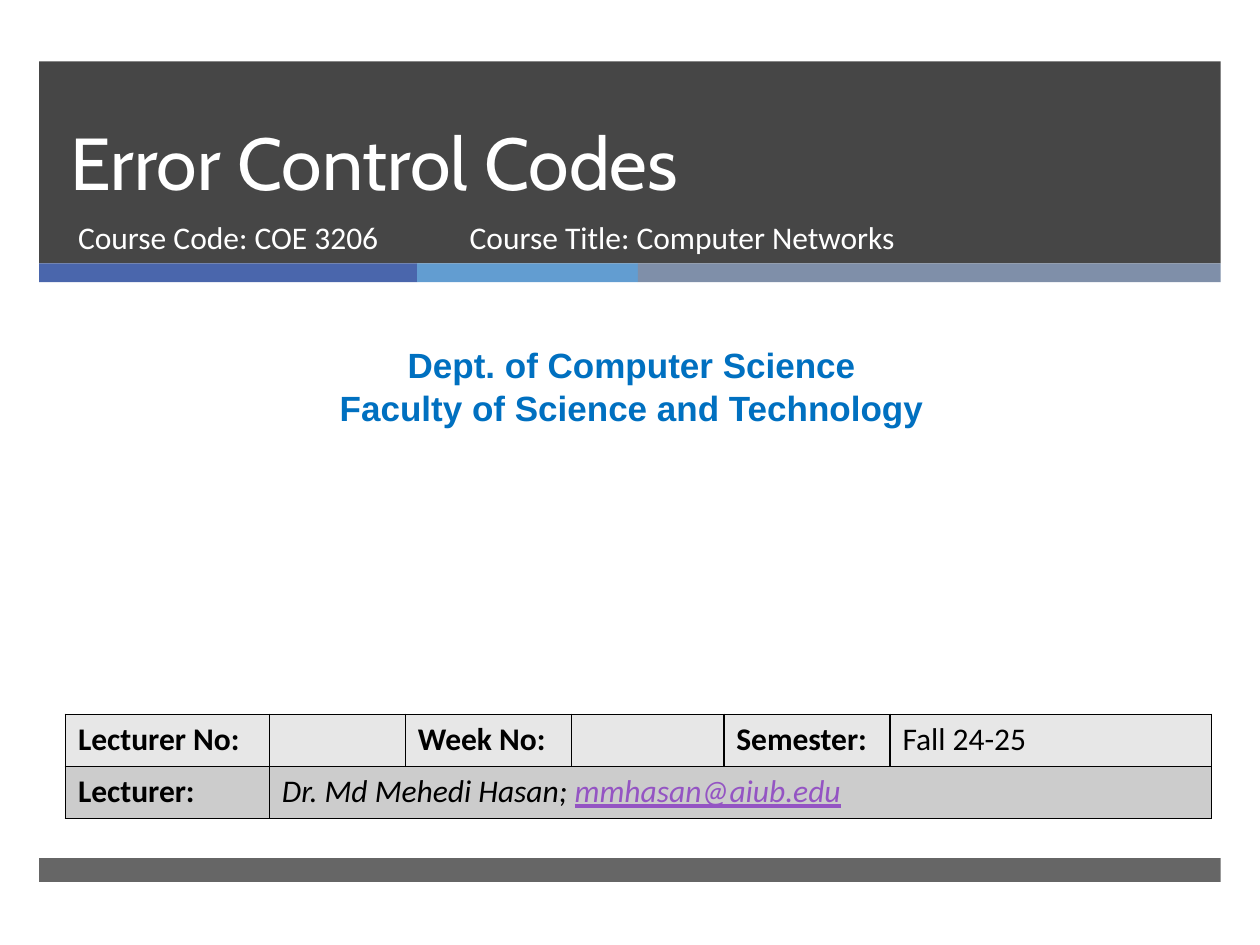
from lxml.etree import SubElement
from pptx import Presentation
from pptx.dml.color import RGBColor
from pptx.enum.shapes import MSO_SHAPE
from pptx.enum.text import MSO_ANCHOR, MSO_AUTO_SIZE, PP_ALIGN
from pptx.oxml.ns import qn
from pptx.util import Cm, Pt

WHITE = RGBColor(0xFF, 0xFF, 0xFF)
BLACK = RGBColor(0, 0, 0)
DARK = RGBColor(0x26, 0x26, 0x26)
NAVY = RGBColor(0x4A, 0x66, 0xAC)
SKY = RGBColor(0x62, 0x9D, 0xD1)
SLATE = RGBColor(0x7F, 0x8F, 0xA9)
BLUE = RGBColor(0x00, 0x70, 0xC0)
VIOLET = RGBColor(0x94, 0x54, 0xC3)
PALE = RGBColor(0xE7, 0xE7, 0xE7)
GREY = RGBColor(0xCC, 0xCC, 0xCC)


def write(para, text, size=18, face="Calibri", color=WHITE, align=PP_ALIGN.LEFT,
          bold=False, italic=False, under=False):
    para.alignment = align
    run = para.add_run()
    run.text = text
    font = run.font
    font.size, font.name, font.color.rgb = Pt(size), face, color
    font.bold, font.italic, font.underline = bold, italic, under


def frame(cell):
    """Draw a thin black border on all four sides of a table cell."""
    props = cell._tc.get_or_add_tcPr()
    for side in ("a:lnL", "a:lnR", "a:lnT", "a:lnB"):
        line = SubElement(props, qn(side), w=str(Pt(1)))
        fill = SubElement(line, qn("a:solidFill"))
        SubElement(fill, qn("a:srgbClr"), val=str(BLACK))


deck = Presentation()
deck.slide_width, deck.slide_height = Cm(25.4), Cm(19.05)
slide = deck.slides.add_slide(deck.slide_layouts[0])
shapes = slide.shapes

# Bands: left, top, width, height, colour, opacity in percent
bands = [
    (0.79, 1.24, 23.82, 4.07, DARK, 85),
    (0.79, 5.31, 7.62, 0.38, NAVY, 100),
    (8.41, 5.31, 4.45, 0.38, SKY, 100),
    (12.86, 5.31, 11.75, 0.38, SLATE, 100),
    (0.79, 17.3, 23.82, 0.48, DARK, 70),
]
for *area, color, alpha in bands:
    band = shapes.add_shape(MSO_SHAPE.RECTANGLE, *map(Cm, area))
    band.shadow.inherit = False
    band.fill.solid()
    band.fill.fore_color.rgb = color
    band.line.fill.background()
    if alpha < 100:
        tint = band._element.spPr.find(".//" + qn("a:srgbClr"))
        SubElement(tint, qn("a:alpha"), val=str(alpha * 1000))

# Headings, placed in front of the bands
title, code = shapes.title, slide.placeholders[1]
for holder, area in ((title, (1.17, 1.24, 21.69, 3.02)),
                     (code, (1.32, 4.27, 7.75, 1.35))):
    shapes._spTree.append(holder._element)
    holder.left, holder.top, holder.width, holder.height = map(Cm, area)
    holder.text_frame.auto_size = MSO_AUTO_SIZE.NONE
title.text_frame.vertical_anchor = MSO_ANCHOR.BOTTOM
code.text_frame.vertical_anchor = MSO_ANCHOR.TOP
head = title.text_frame.paragraphs[0]
head.line_spacing = Pt(46)
write(head, "Error Control Codes", size=42, face="Cabin")
para = code.text_frame.paragraphs[0]
para.space_before = Pt(0)
write(para, "Course Code: COE 3206")

course = shapes.add_textbox(Cm(9.22), Cm(4.27), Cm(11.56), Cm(1.35)).text_frame
course.word_wrap = True
write(course.paragraphs[0], "Course Title: Computer Networks")

dept = shapes.add_textbox(Cm(0.2), Cm(6.81), Cm(25.07), Cm(1.96)).text_frame
dept.word_wrap = True
dept.add_paragraph()
lines = ("Dept. of Computer Science", "Faculty of Science and Technology")
for para, text in zip(dept.paragraphs, lines):
    write(para, text, size=20, face="Arial", color=BLUE, align=PP_ALIGN.CENTER, bold=True)

# Lecture details
widths = (4.11, 2.74, 3.35, 3.07, 3.35, 6.48)
table = shapes.add_table(2, 6, Cm(1.32), Cm(14.4), Cm(sum(widths)), Cm(2.1)).table
table.first_row = table.horz_banding = False
for col, width in zip(table.columns, widths):
    col.width = Cm(width)
for row, shade in zip(table.rows, (PALE, GREY)):
    row.height = Cm(1.05)
    for cell in row.cells:
        frame(cell)
        cell.fill.solid()
        cell.fill.fore_color.rgb = shade
table.cell(1, 1).merge(table.cell(1, 5))

labels = ((0, 0, "Lecturer No:"), (0, 2, "Week No:"), (0, 4, "Semester:"), (1, 0, "Lecturer:"))
for row, col, text in labels:
    write(table.cell(row, col).text_frame.paragraphs[0], text, color=BLACK, bold=True)
write(table.cell(0, 5).text_frame.paragraphs[0], "Fall 24-25", color=BLACK)
name = table.cell(1, 1).text_frame.paragraphs[0]
write(name, "Dr. Md Mehedi Hasan; ", color=BLACK, italic=True)
write(name, "mmhasan@aiub.edu", color=VIOLET, italic=True, under=True)

deck.save("out.pptx")
